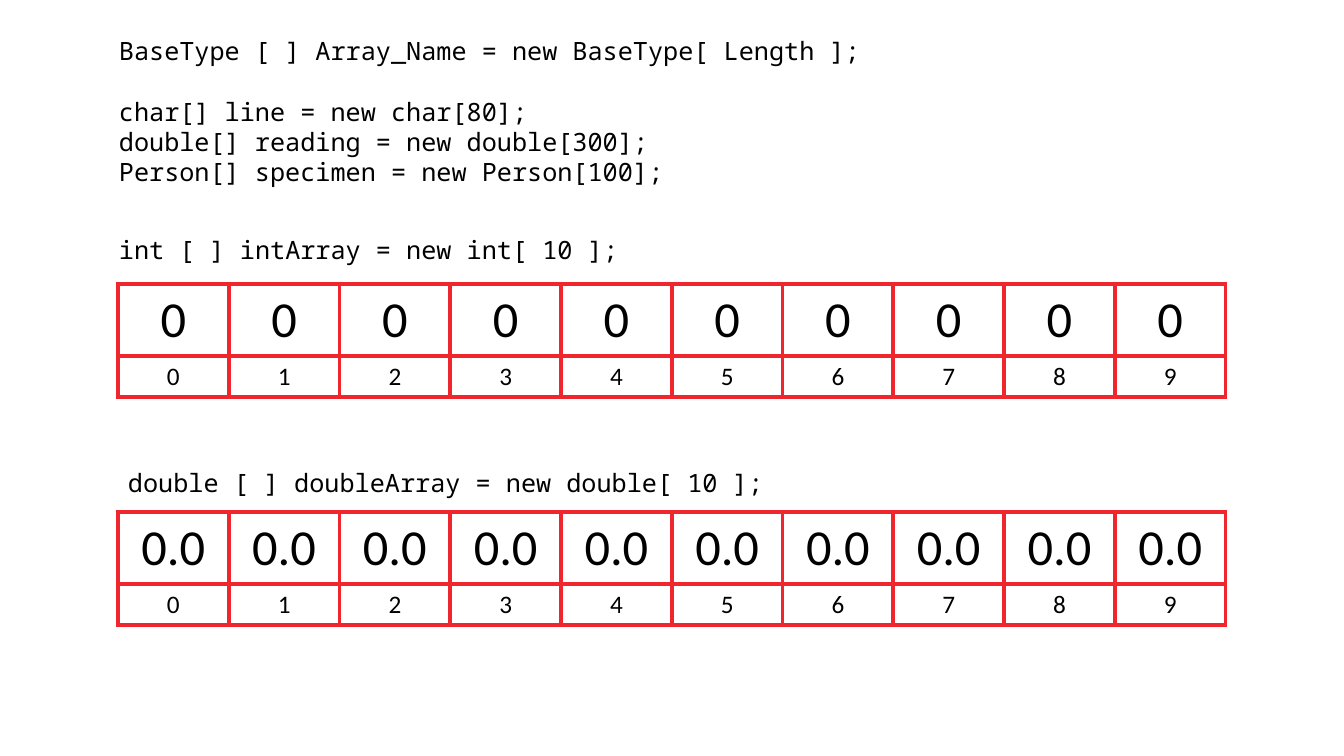
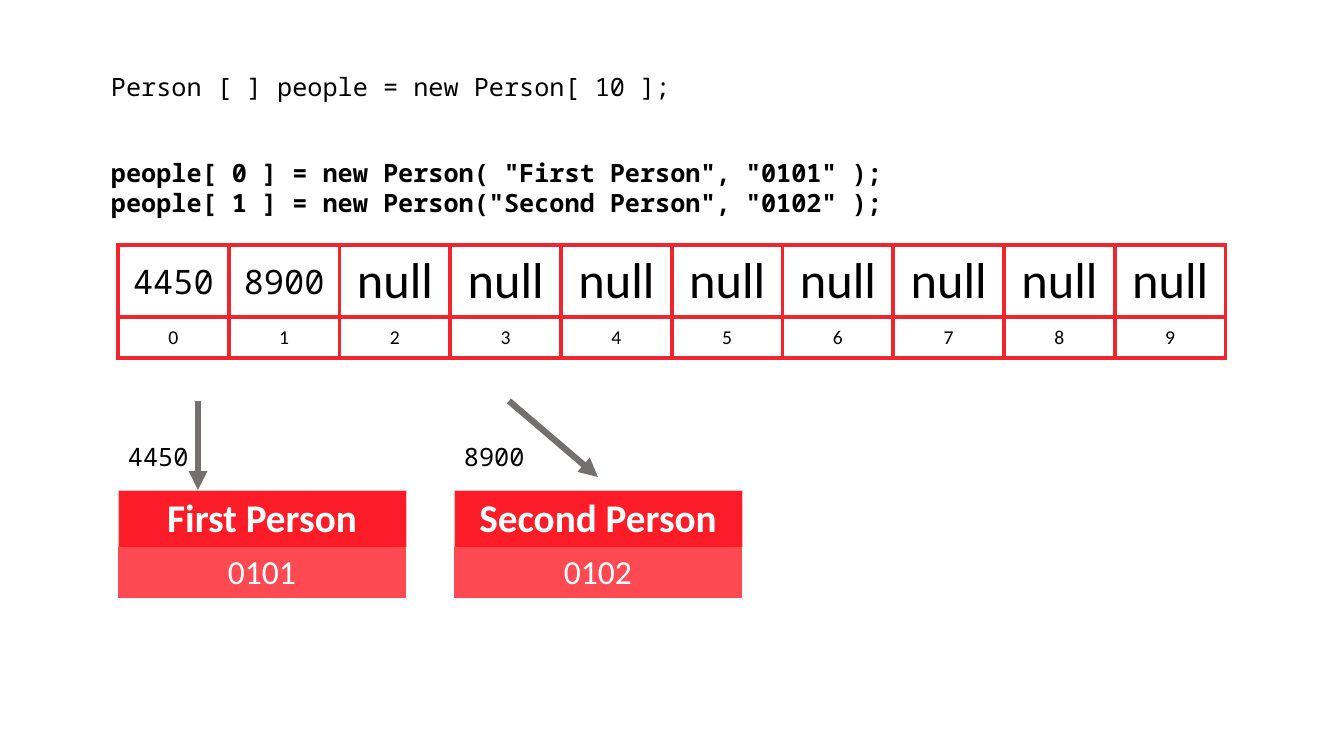
import pptx
import pptx.dml.color
import pptx.enum.shapes
import pptx.enum.text
import pptx.oxml
import pptx.oxml.ns
import pptx.util

RGBColor = pptx.dml.color.RGBColor
BLACK = RGBColor(0x00, 0x00, 0x00)
WHITE = RGBColor(0xFF, 0xFF, 0xFF)
GRID_RED = RGBColor(0xF0, 0x26, 0x2F)
HEADER_RED = RGBColor(0xFC, 0x1C, 0x27)
DETAIL_RED = RGBColor(0xFD, 0x4A, 0x52)
EDGE_PINK = RGBColor(0xF8, 0xBE, 0xBE)
ARROW_GREY = RGBColor(0x75, 0x70, 0x70)

BODY_FONT = "Calibri"
CODE_FONT = "Noto Sans Mono"
CENTER = pptx.enum.text.PP_ALIGN.CENTER
TOP = pptx.enum.text.MSO_ANCHOR.TOP
MIDDLE = pptx.enum.text.MSO_ANCHOR.MIDDLE

PIXELS_PER_INCH = 100.8
SLIDE_WIDTH, SLIDE_HEIGHT = 1344, 756
ARRAY_LEFT, ARRAY_WIDTH, ARRAY_ROWS = 118, 1108, (72, 41)
PERSON_WIDTH, PERSON_ROWS = 288, (57, 51)
CODE_PADDING, CODE_LINE = 10, 31
DRAWING_NS = pptx.oxml.ns.nsdecls("a")


def px(pixels):
    """Turn pixels into EMU."""
    return pptx.util.Emu(round(pixels * 914400 / PIXELS_PER_INCH))


def write(frame, lines, *, size, font=BODY_FONT, color=BLACK, bold=False, align=None):
    """Write one paragraph per line into a text frame."""
    frame.text = "\n".join(lines)
    for paragraph in frame.paragraphs:
        paragraph.alignment = align
        for run in paragraph.runs:
            run.font.size = pptx.util.Pt(size)
            run.font.name = font
            run.font.bold = bold
            run.font.color.rgb = color


def add_code(slide, left, top, width, lines, bold=False):
    """Add lines of code in a box as high as the lines need."""
    height = CODE_PADDING + CODE_LINE * len(lines)
    box = slide.shapes.add_textbox(px(left), px(top), px(width), px(height))
    box.text_frame.word_wrap = True
    write(box.text_frame, lines, size=18, font=CODE_FONT, bold=bold)


def set_borders(cell, color, points, sides="LRTB"):
    """Draw the named sides of a cell and leave the others without a line."""
    properties = cell._tc.get_or_add_tcPr()
    for side in "LRTB":
        paint = f'<a:solidFill><a:srgbClr val="{color}"/></a:solidFill>' if side in sides else "<a:noFill/>"
        properties.append(pptx.oxml.parse_xml(
            f'<a:ln{side} {DRAWING_NS} w="{pptx.util.Pt(points)}">{paint}</a:ln{side}>'))


def add_plain_table(slide, left, top, width, row_heights, columns):
    """Add a table with equal columns and no banding, and return it."""
    table = slide.shapes.add_table(len(row_heights), columns, px(left), px(top),
                                   px(width), px(sum(row_heights))).table
    table.first_row = table.horz_banding = False
    for column in table.columns:
        column.width = px(width / columns)
    for row, height in zip(table.rows, row_heights):
        row.height = px(height)
    return table


def add_array(slide, top, values, index_size, anchor=TOP, addresses=0):
    """Add an array's values over their indexes; the first ones may be addresses."""
    table = add_plain_table(slide, ARRAY_LEFT, top, ARRAY_WIDTH, ARRAY_ROWS, len(values))
    for index, value in enumerate(values):
        value_cell, index_cell = table.cell(0, index), table.cell(1, index)
        for cell in (value_cell, index_cell):
            set_borders(cell, GRID_RED, 3)
            cell.fill.background()
            cell.vertical_anchor = anchor
        if index < addresses:
            write(value_cell.text_frame, [value], size=24, font=CODE_FONT, align=CENTER)
        else:
            write(value_cell.text_frame, [value], size=36, align=CENTER)
        write(index_cell.text_frame, [str(index)], size=index_size, align=CENTER)


def add_person(slide, left, address, name, number):
    """Add a person object below its memory address."""
    add_code(slide, left, 436, 109, [address])
    table = add_plain_table(slide, left, 490, PERSON_WIDTH, PERSON_ROWS, 1)
    name_cell, number_cell = table.cell(0, 0), table.cell(1, 0)
    set_borders(name_cell, EDGE_PINK, 0.5, "LRT")
    set_borders(number_cell, EDGE_PINK, 0.5, "")
    for cell, fill in ((name_cell, HEADER_RED), (number_cell, DETAIL_RED)):
        cell.fill.solid()
        cell.fill.fore_color.rgb = fill
    write(name_cell.text_frame, [name], size=28, color=WHITE, bold=True, align=CENTER)
    write(number_cell.text_frame, [number], size=24, color=WHITE, align=CENTER)


def add_arrow(slide, start, end):
    """Add a grey arrow between two points."""
    arrow = slide.shapes.add_connector(pptx.enum.shapes.MSO_CONNECTOR.STRAIGHT,
                                       *(px(length) for length in (*start, *end)))
    arrow.line.color.rgb = ARROW_GREY
    arrow.line.width = pptx.util.Pt(4.5)
    arrow.line._get_or_add_ln().append(
        pptx.oxml.parse_xml(f'<a:tailEnd {DRAWING_NS} type="triangle"/>'))
    arrow._element.spPr.append(pptx.oxml.parse_xml(f"<a:effectLst {DRAWING_NS}/>"))


def build_primitive_arrays(slide):
    """Show array declarations and the default values of two arrays."""
    add_array(slide, 284, ["0"] * 10, index_size=18)
    add_array(slide, 512, ["0.0"] * 10, index_size=18)
    add_code(slide, 109, 229, 672, ["int [ ] intArray = new int[ 10 ];"])
    add_code(slide, 118, 462, 672, ["double [ ] doubleArray = new double[ 10 ];"])
    add_code(slide, 109, 30, 846, ["BaseType [ ] Array_Name = new BaseType[ Length ];"])
    add_code(slide, 109, 91, 846, ["char[] line = new char[80];",
                                   "double[] reading = new double[300];",
                                   "Person[] specimen = new Person[100];"])


def build_object_array(slide):
    """Show an array of objects and the people that it refers to."""
    add_array(slide, 245, ["4450", "8900"] + ["null"] * 8, index_size=14,
              anchor=MIDDLE, addresses=2)
    add_code(slide, 101, 66, 672, ["Person [ ] people = new Person[ 10 ];"])
    add_code(slide, 101, 152, 849, ['people[ 0 ] = new Person( "First Person", "0101" );',
                                    'people[ 1 ] = new Person("Second Person", "0102" );'],
             bold=True)
    add_person(slide, 118, "4450", "First Person", "0101")
    add_person(slide, 454, "8900", "Second Person", "0102")
    add_arrow(slide, (198, 401), (198, 490))
    add_arrow(slide, (509, 401), (598, 477))


def main():
    """Build and save the presentation."""
    deck = pptx.Presentation()
    deck.slide_width, deck.slide_height = px(SLIDE_WIDTH), px(SLIDE_HEIGHT)
    blank = deck.slide_layouts[6]
    for build in (build_primitive_arrays, build_object_array):
        build(deck.slides.add_slide(blank))
    deck.save("out.pptx")


main()
